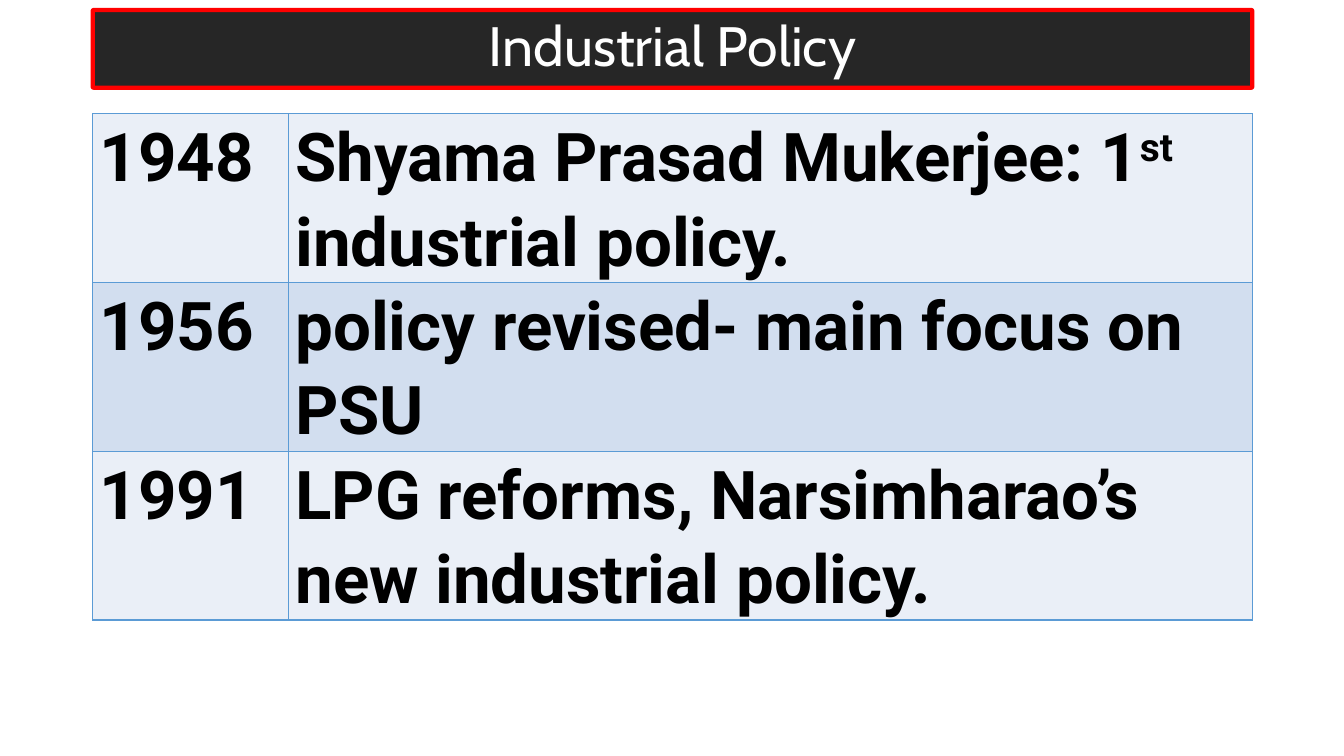
from dataclasses import dataclass

from lxml import etree
from pptx import Presentation
from pptx.dml.color import RGBColor
from pptx.enum.shapes import MSO_SHAPE
from pptx.enum.text import MSO_ANCHOR, PP_ALIGN
from pptx.oxml.ns import qn
from pptx.slide import Slide
from pptx.table import _Cell
from pptx.text.text import _Paragraph
from pptx.util import Inches, Pt

ROUNDED = MSO_SHAPE.ROUNDED_RECTANGLE
MIDDLE = MSO_ANCHOR.MIDDLE
TOP = MSO_ANCHOR.TOP
CENTER = PP_ALIGN.CENTER

BLACK = RGBColor(0x00, 0x00, 0x00)
WHITE = RGBColor(0xFF, 0xFF, 0xFF)
CHARCOAL = RGBColor(0x26, 0x26, 0x26)
RED = RGBColor(0xFF, 0x00, 0x00)
BORDER_BLUE = RGBColor(0x5B, 0x9B, 0xD5)
BANDS = (RGBColor(0xEA, 0xEF, 0xF7), RGBColor(0xD2, 0xDE, 0xEF))

LEFT, WIDTH = Inches(0.92), Inches(11.5)
YEAR_WIDTH = Inches(1.94)
ROW_HEIGHT = Inches(1.67)


@dataclass(frozen=True)
class Span:
    text: str
    superscript: bool = False


@dataclass(frozen=True)
class Policy:
    year: str
    summary: tuple[Span, ...]


POLICIES = (
    Policy("1948", (Span("Shyama Prasad Mukerjee: 1"), Span("st", True),
                    Span(" industrial policy."))),
    Policy("1956", (Span("policy revised- main focus on PSU"),)),
    Policy("1991", (Span("LPG reforms, Narsimharao’s new industrial policy."),)),
)


def add_span(paragraph: _Paragraph, span: Span, font_name: str, size: float,
             color: RGBColor, bold: bool) -> None:
    run = paragraph.add_run()
    run.text = span.text
    run.font.name = font_name
    run.font.size = Pt(size)
    run.font.bold = bold
    run.font.color.rgb = color
    if span.superscript:
        run._r.get_or_add_rPr().set("baseline", "30000")


def add_borders(cell: _Cell) -> None:
    properties = cell._tc.get_or_add_tcPr()
    for side in ("a:lnL", "a:lnR", "a:lnT", "a:lnB"):
        line = etree.SubElement(properties, qn(side), w=str(Pt(1)))
        fill = etree.SubElement(line, qn("a:solidFill"))
        etree.SubElement(fill, qn("a:srgbClr"), val=str(BORDER_BLUE))


def fill_cell(cell: _Cell, spans: tuple[Span, ...], band: RGBColor) -> None:
    add_borders(cell)
    cell.fill.solid()
    cell.fill.fore_color.rgb = band
    cell.margin_left = cell.margin_right = Inches(0.07)
    cell.margin_top = cell.margin_bottom = 0
    cell.vertical_anchor = TOP
    paragraph = cell.text_frame.paragraphs[0]
    paragraph.line_spacing = 1.07
    for span in spans:
        add_span(paragraph, span, "Roboto", 48, BLACK, True)


def add_policy_table(slide: Slide) -> None:
    table = slide.shapes.add_table(len(POLICIES), 2, LEFT, Inches(1.13), WIDTH,
                                   ROW_HEIGHT * len(POLICIES)).table
    table.first_row = table.horz_banding = False
    table.columns[0].width = YEAR_WIDTH
    table.columns[1].width = WIDTH - YEAR_WIDTH
    for index, policy in enumerate(POLICIES):
        table.rows[index].height = ROW_HEIGHT
        band = BANDS[index % len(BANDS)]
        fill_cell(table.cell(index, 0), (Span(policy.year),), band)
        fill_cell(table.cell(index, 1), policy.summary, band)


def add_title(slide: Slide, title: str) -> None:
    banner = slide.shapes.add_shape(ROUNDED, LEFT, Inches(0.1), WIDTH, Inches(0.77))
    banner.adjustments[0] = 0.01
    banner.shadow.inherit = False
    banner.fill.solid()
    banner.fill.fore_color.rgb = CHARCOAL
    banner.line.color.rgb = RED
    banner.line.width = Pt(3)
    frame = banner.text_frame
    frame.word_wrap = True
    frame.vertical_anchor = MIDDLE
    paragraph = frame.paragraphs[0]
    paragraph.alignment = CENTER
    paragraph.line_spacing = 0.9
    add_span(paragraph, Span(title), "Cabin", 39.6, WHITE, False)


def main() -> None:
    deck = Presentation()
    deck.slide_width, deck.slide_height = Inches(13.33), Inches(7.5)
    slide = deck.slides.add_slide(deck.slide_layouts[6])

    # Timeline of policies
    add_policy_table(slide)

    # Title banner
    add_title(slide, "Industrial Policy")

    deck.save("out.pptx")


if __name__ == "__main__":
    main()
